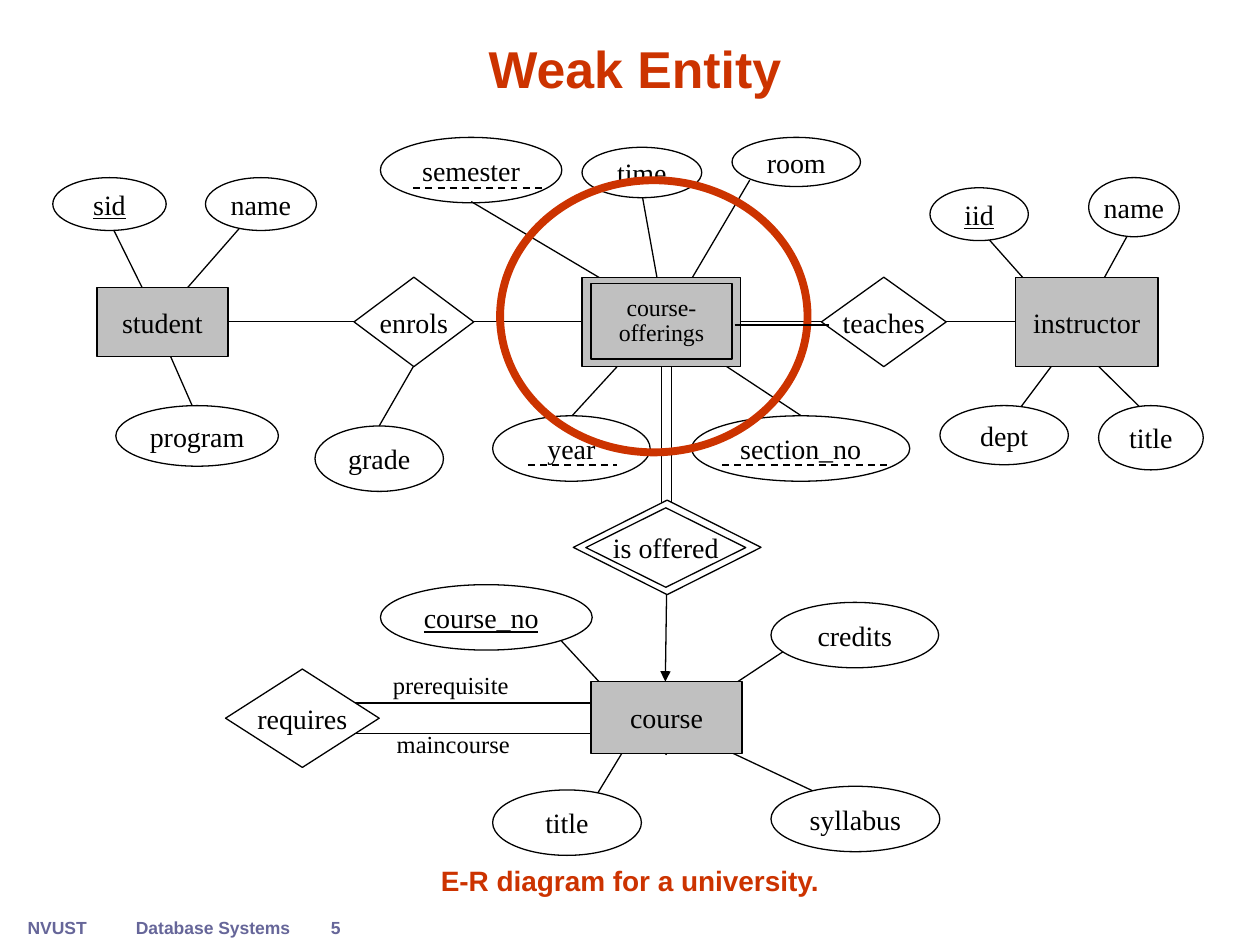
"""Build the weak-entity E-R diagram slide."""
from lxml import etree
from pptx import Presentation, util as u
from pptx.dml import color
from pptx.enum import dml, shapes, text as tx
from pptx.oxml import ns

COLORS = {"ink": "000000", "paper": "FFFFFF", "entity": "C0C0C0",
          "accent": "CC3300", "footer": "666699"}
KINDS = shapes.MSO_SHAPE
CENTER, LEFT = tx.PP_ALIGN.CENTER, tx.PP_ALIGN.LEFT
TOP, MIDDLE, BOTTOM = (tx.MSO_ANCHOR.TOP, tx.MSO_ANCHOR.MIDDLE,
                       tx.MSO_ANCHOR.BOTTOM)


def rgb(name):
    return color.RGBColor.from_string(COLORS[name])


def write(frame, wording, size=16, font="Times New Roman", ink="ink",
          bold=False, underline=False, align=CENTER, anchor=MIDDLE,
          wrap=False, spacing=1.0):
    frame.auto_size = tx.MSO_AUTO_SIZE.NONE
    frame.word_wrap = wrap
    frame.vertical_anchor = anchor
    frame.margin_left = frame.margin_right = u.Pt(7.2)
    frame.margin_top = frame.margin_bottom = u.Pt(3.6)
    paragraph = frame.paragraphs[0]
    paragraph.alignment = align
    paragraph.line_spacing = spacing
    run = paragraph.add_run()
    run.text = wording
    run.font.size = u.Pt(size)
    run.font.name = font
    run.font.bold = bold
    run.font.underline = underline
    run.font.color.rgb = rgb(ink)


class Diagram:
    def __init__(self, slide, line_width=0.75):
        self.slide = slide
        self.line_width = line_width

    def title(self, wording, box, **fmt):
        heading = self.slide.shapes.title
        heading.left, heading.top, heading.width, heading.height = map(u.Pt, box)
        write(heading.text_frame, wording, **fmt)

    def label(self, wording, box, **fmt):
        area = self.slide.shapes.add_textbox(*map(u.Pt, box))
        write(area.text_frame, wording, **fmt)

    def node(self, kind, box, wording="", fill="paper", ink="ink",
             width=None, **fmt):
        symbol = self.slide.shapes.add_shape(kind, *map(u.Pt, box))
        symbol.shadow.inherit = False
        if fill:
            symbol.fill.solid()
            symbol.fill.fore_color.rgb = rgb(fill)
        else:
            symbol.fill.background()
        symbol.line.color.rgb = rgb(ink)
        symbol.line.width = u.Pt(width or self.line_width)
        if wording:
            write(symbol.text_frame, wording, **fmt)

    def link(self, ends, width=None, dashed=False, arrow=False):
        edge = self.slide.shapes.add_connector(
            shapes.MSO_CONNECTOR.STRAIGHT, *map(u.Pt, ends))
        edge.line.color.rgb = rgb("ink")
        edge.line.width = u.Pt(width or self.line_width)
        if dashed:
            edge.line.dash_style = dml.MSO_LINE.DASH
        if arrow:
            etree.SubElement(edge.line._get_or_add_ln(),
                             ns.qn("a:tailEnd"), type="triangle")
        etree.SubElement(edge._element.spPr, ns.qn("a:effectLst"))


LINKS = [
    (558.7, 129.6, 604.1, 180.7), (650.2, 123.8, 622.1, 175),
    (568.8, 252, 609.8, 197.3), (673.2, 254.2, 616.3, 198),
    (342.7, 401.8, 201.6, 401.8), (342.7, 419, 201.6, 419),
    (454.3, 367.9, 418.3, 391.7), (468, 453.6, 406.8, 424.8),
    (320.4, 365.8, 380.9, 431.3), (380.2, 389.5, 332.6, 468),
    (383.8, 294.5, 383.8, 203.8), (378, 294.5, 378, 203.8),
    (326.9, 237.6, 374.4, 185.8), (457.9, 237.6, 379.4, 185.8),
    (428.4, 103, 380.9, 183.6), (367.2, 113, 379.4, 180.7),
    (269.3, 115.2, 377.3, 179.3), (236.2, 209.5, 216.7, 243.4),
    (61.2, 123.8, 89.3, 180.7), (138.2, 128.9, 98.6, 174.2),
    (95, 198, 117.4, 249.1),
]
RELATION_ROW = 183.6
RELATION_SPANS = [(129.6, 202.3), (270.7, 332.6), (423.4, 469.4), (540.7, 580.3)]
PARTIAL_KEYS = [(412.6, 508.3, 265.7), (236.2, 310.3, 107.3),
                (301.7, 352.8, 265.7)]
ATTRIBUTES = [
    ("title", (627.8, 231.8, 59.8, 36.7)),
    ("dept", (537.1, 231.8, 73.4, 33.8)),
    ("name", (622.1, 101.5, 51.8, 33.8)),
    ("iid", (531.4, 107.3, 56.2, 30.2)),
    ("syllabus", (440.6, 449.3, 96.5, 37.4)),
    ("credits", (440.6, 344.2, 95.8, 37.4)),
    ("section_no", (395.3, 237.6, 124.6, 37.4)),
    ("name", (117.4, 101.5, 63.4, 30.2)),
    ("sid", (30.2, 101.5, 64.8, 30.2)),
    ("program", (66.2, 231.8, 92.9, 34.6)),
    ("title", (281.5, 451.4, 85, 37.4)),
]
OPEN_ATTRIBUTES = [
    ("time", (332.6, 84.2, 68.4, 28.8)),
    ("room", (418.3, 78.5, 73.4, 28.1)),
    ("semester", (217.4, 78.5, 103.7, 37.4)),
    ("year", (281.5, 237.6, 90, 37.4)),
    ("grade", (180, 243.4, 73.4, 37.4)),
]
ENTITIES = [
    ("student", (55.4, 164.2, 74.9, 39.6)),
    ("instructor", (580.3, 158.4, 81.4, 51.1)),
    ("course", (337.7, 389.5, 86.4, 41)),
]
RELATIONSHIPS = [
    ("requires", (128.9, 382.3, 87.8, 56.2)),
    ("enrols", (202.3, 158.4, 68.4, 51.1)),
    ("teaches", (469.4, 158.4, 71.3, 51.1)),
    ("is offered", (334.8, 290.2, 91.4, 45.4)),
]
ROLES = [("prerequisite", (217.4, 379.4, 103, 24.5)),
         ("maincourse", (219.6, 413.3, 102.2, 24.5))]
FOOTERS = [("NVUST", 8.6, 48.2), ("Database Systems", 70.6, 102.2),
           ("5", 160.6, 62.6)]


def main():
    deck = Presentation()
    deck.slide_width, deck.slide_height = u.Pt(720), u.Pt(540)
    diagram = Diagram(deck.slides.add_slide(deck.slide_layouts[5]))
    heading = {"font": "Arial", "ink": "accent", "bold": True,
               "anchor": BOTTOM, "wrap": True}

    diagram.title("Weak Entity", (23.8, 15.8, 678.2, 44.6), size=29.6,
                  spacing=0.9, **heading)
    diagram.label("E-R diagram for a university.", (54, 479.5, 612, 36.7),
                  **heading)
    for wording, left, width in FOOTERS:
        diagram.label(wording, (left, 520.6, width, 19.4), size=10,
                      font="Arial", ink="footer", bold=True, anchor=TOP)

    for ends in LINKS:
        diagram.link(ends)
    for start, end in RELATION_SPANS:
        diagram.link((start, RELATION_ROW, end, RELATION_ROW))

    for wording, box in ATTRIBUTES:
        diagram.node(KINDS.OVAL, box, wording,
                     underline=wording in ("sid", "iid"))
    for wording, box in OPEN_ATTRIBUTES:
        diagram.node(KINDS.OVAL, box, wording, fill=None)
    diagram.node(KINDS.OVAL, (217.4, 334.1, 121, 37.4), "course_no", fill=None,
                 underline=True, align=LEFT, wrap=True)
    for start, end, row in PARTIAL_KEYS:
        diagram.link((start, row, end, row), width=1, dashed=True)

    for wording, box in ENTITIES:
        diagram.node(KINDS.FLOWCHART_PROCESS, box, wording, fill="entity")
    diagram.node(KINDS.RECTANGLE, (332.6, 158.4, 90.7, 51.1), fill="entity")
    diagram.node(KINDS.RECTANGLE, (337.7, 162, 80.6, 43.2), "course- offerings",
                 fill="entity", size=13.6, spacing=0.9, wrap=True)
    diagram.node(KINDS.DIAMOND, (327.6, 285.8, 107.3, 54))
    for wording, box in RELATIONSHIPS:
        diagram.node(KINDS.FLOWCHART_DECISION, box, wording)
    for wording, box in ROLES:
        diagram.label(wording, box, size=14, align=LEFT, anchor=TOP, wrap=True)

    diagram.link((380.9, 339.8, 380.2, 389.5), arrow=True)
    diagram.node(KINDS.OVAL, (285.8, 103, 175.7, 155.5), fill=None,
                 ink="accent", width=4.5)
    diagram.link((419.8, 185.8, 473.8, 185.8))
    deck.save("out.pptx")


if __name__ == "__main__":
    main()
